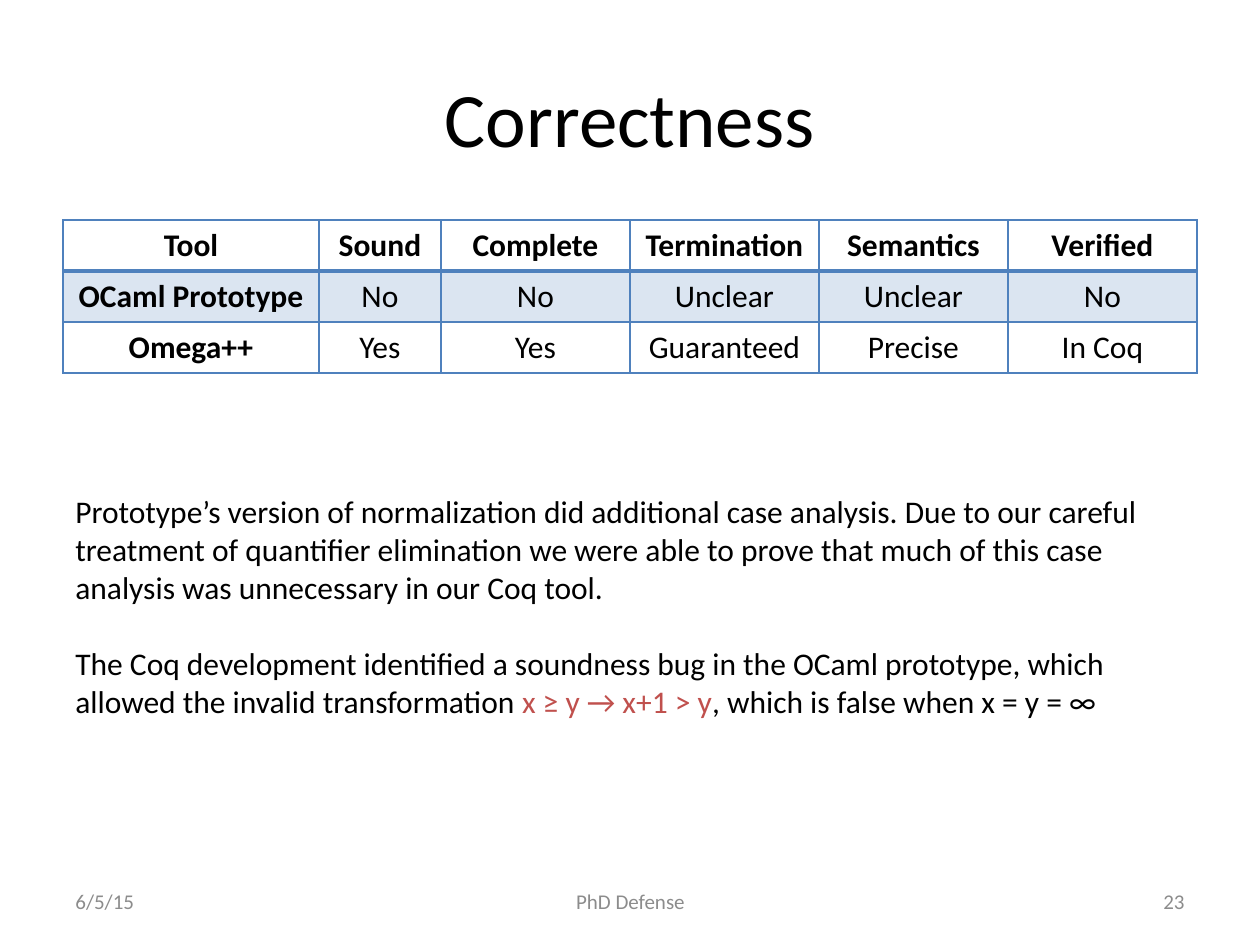
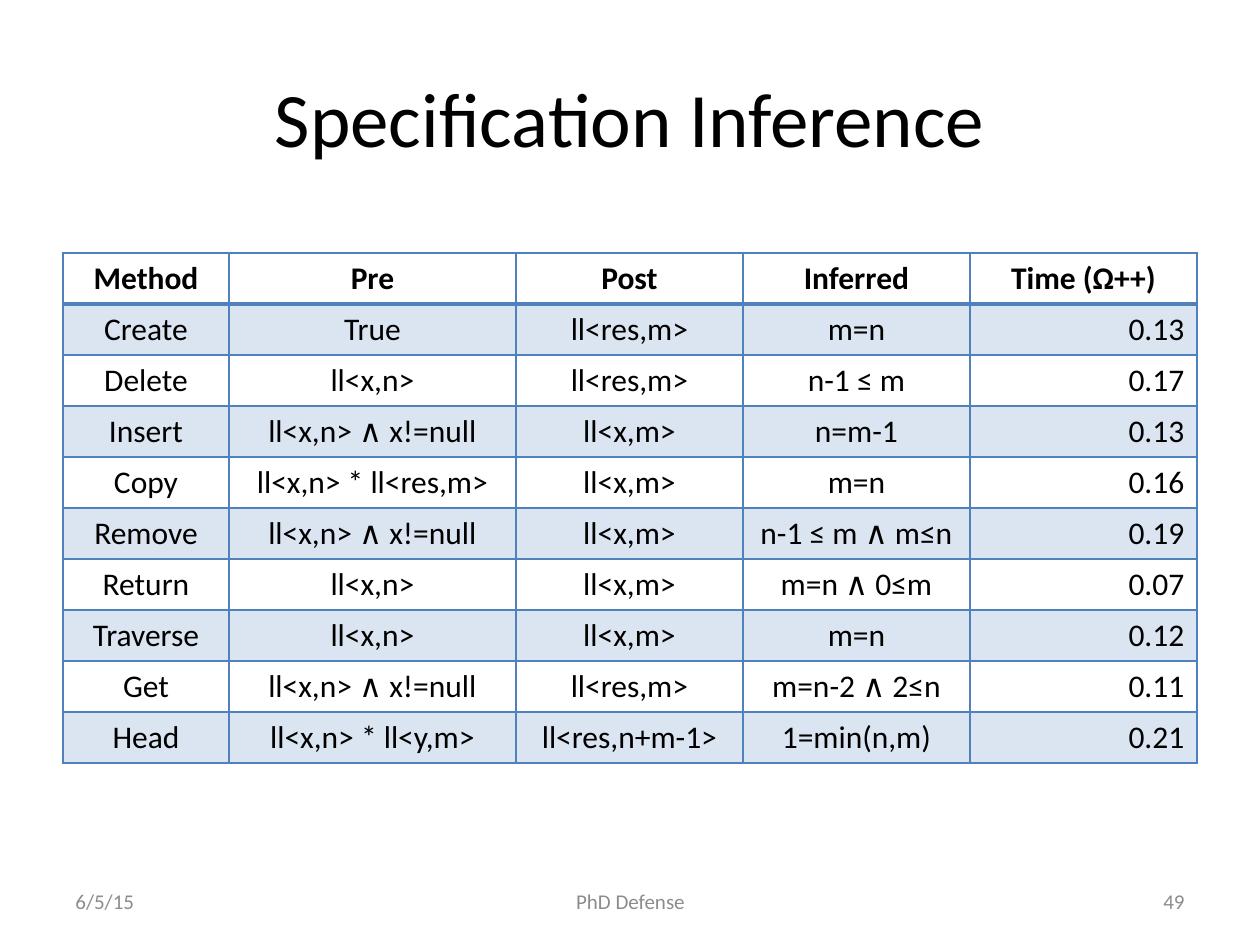
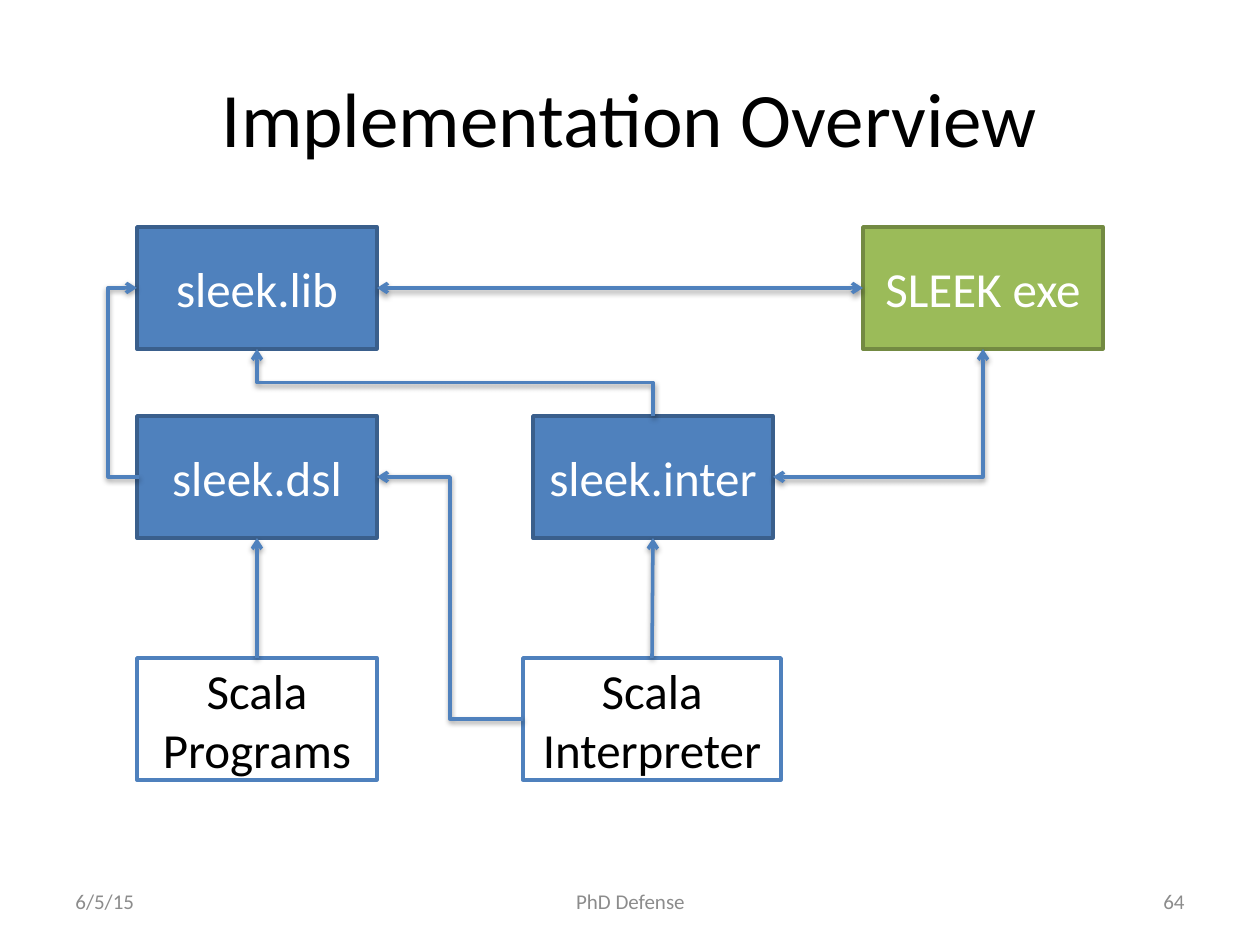
from lxml.etree import SubElement
from pptx import Presentation
from pptx.dml.color import RGBColor
from pptx.enum.shapes import MSO_CONNECTOR as CONN, MSO_SHAPE as SHAPE
from pptx.enum.text import MSO_ANCHOR as ANCHOR, PP_ALIGN as ALIGN
from pptx.oxml.ns import qn
from pptx.util import Emu, Pt

PX = 914400 / 126
FONT = "Calibri"
BLACK, WHITE, GRAY = "000000", "FFFFFF", "8C8C8C"
BLUE, DARK_BLUE = "4F81BD", "3A5F8C"
GREEN, DARK_GREEN = "9BBB59", "738A42"
RED = "C0504D"
ROW_H = 51

CORRECTNESS = [
    ["Tool", "Sound", "Complete", "Termination", "Semantics", "Verified"],
    ["OCaml Prototype", "No", "No", "Unclear", "Unclear", "No"],
    ["Omega++", "Yes", "Yes", "Guaranteed", "Precise", "In Coq"],
]
INFERENCE = [
    ["Method", "Pre", "Post", "Inferred", "Time (Ω++)"],
    ["Create", "True", "ll<res,m>", "m=n", "0.13"],
    ["Delete", "ll<x,n>", "ll<res,m>", "n-1 ≤ m", "0.17"],
    ["Insert", "ll<x,n> ∧ x!=null", "ll<x,m>", "n=m-1", "0.13"],
    ["Copy", "ll<x,n> * ll<res,m>", "ll<x,m>", "m=n", "0.16"],
    ["Remove", "ll<x,n> ∧ x!=null", "ll<x,m>", "n-1 ≤ m ∧ m≤n", "0.19"],
    ["Return", "ll<x,n>", "ll<x,m>", "m=n ∧ 0≤m", "0.07"],
    ["Traverse", "ll<x,n>", "ll<x,m>", "m=n", "0.12"],
    ["Get", "ll<x,n> ∧ x!=null", "ll<res,m>", "m=n-2 ∧ 2≤n", "0.11"],
    ["Head", "ll<x,n> * ll<y,m>", "ll<res,n+m-1>", "1=min(n,m)", "0.21"],
]


def px(*values):
    return [Emu(round(v * PX)) for v in values]


def rgb(color):
    return RGBColor.from_string(color)


def add_run(p, text, size, color=BLACK, bold=False):
    r = p.add_run()
    r.text = text
    r.font.color.rgb = rgb(color)
    for name, value in {"name": FONT, "size": Pt(size), "bold": bold}.items():
        setattr(r.font, name, value)


def add_text(slide, rect, text, size, color=BLACK, align=ALIGN.LEFT):
    tf = slide.shapes.add_textbox(*px(*rect)).text_frame
    tf.word_wrap = True
    tf.vertical_anchor = ANCHOR.MIDDLE
    p = tf.paragraphs[0]
    p.alignment = align
    add_run(p, text, size, color)


def add_slide(prs, title, number):
    """Add a blank slide with the shared title and footer."""
    slide = prs.slides.add_slide(prs.slide_layouts[6])
    add_text(slide, (63, 38, 1134, 157), title, 44, align=ALIGN.CENTER)
    footers = [
        (63, 294, "6/5/15", ALIGN.LEFT),
        (431, 399, "PhD Defense", ALIGN.CENTER),
        (903, 294, number, ALIGN.RIGHT),
    ]
    for x, w, text, align in footers:
        add_text(slide, (x, 876, w, 50), text, 12, GRAY, align)
    return slide


def add_body(slide, rect, paragraphs):
    """Each paragraph is (space before in points, [(text, color), ...])."""
    tf = slide.shapes.add_textbox(*px(*rect)).text_frame
    tf.word_wrap = True
    for i, (space, runs) in enumerate(paragraphs):
        p = tf.add_paragraph() if i else tf.paragraphs[0]
        if space:
            p.space_before = Pt(space)
        for text, color in runs:
            add_run(p, text, 18, color)


def set_border(cell, side, width):
    ln = SubElement(cell._tc.get_or_add_tcPr(), qn(f"a:ln{side}"), w=str(Pt(width)))
    SubElement(SubElement(ln, qn("a:solidFill")), qn("a:srgbClr"), val=BLUE)


def fill_band(cell, banded):
    if not banded:
        cell.fill.background()
        return
    cell.fill.solid()
    cell.fill.fore_color.rgb = rgb(BLUE)
    color = next(cell._tc.tcPr.find(qn("a:solidFill")).iter(qn("a:srgbClr")))
    SubElement(color, qn("a:alpha"), val="20000")


def add_grid(slide, top, widths, rows, bold_first=False, right_last=False):
    """Add a table with a bold header row and every second row tinted."""
    rect = px(63, top, sum(widths), ROW_H * len(rows))
    table = slide.shapes.add_table(len(rows), len(widths), *rect).table
    table.horz_banding = False
    for column, width in zip(table.columns, px(*widths)):
        column.width = width
    for i, row in enumerate(rows):
        table.rows[i].height = px(ROW_H)[0]
        for j, text in enumerate(row):
            cell = table.cell(i, j)
            cell.vertical_anchor = ANCHOR.MIDDLE
            p = cell.text_frame.paragraphs[0]
            number = right_last and i and j == len(row) - 1
            p.alignment = ALIGN.RIGHT if number else ALIGN.CENTER
            add_run(p, text, 18, bold=i == 0 or (bold_first and j == 0))
            borders = {"L": 1, "R": 1, "T": 2 if i == 1 else 1, "B": 2 if i == 0 else 1}
            for side, width in borders.items():
                set_border(cell, side, width)
            fill_band(cell, i % 2 == 1)


def add_box(slide, rect, text, fill, line, color):
    s = slide.shapes.add_shape(SHAPE.RECTANGLE, *px(*rect))
    s.shadow.inherit = False
    s.fill.solid()
    s.fill.fore_color.rgb = rgb(fill)
    s.line.color.rgb = rgb(line)
    s.line.width = Pt(2)
    tf = s.text_frame
    tf.word_wrap = True
    tf.vertical_anchor = ANCHOR.MIDDLE
    p = tf.paragraphs[0]
    p.alignment = ALIGN.CENTER
    add_run(p, text, 28, color)


def side_point(rect, side):
    x, y, w, h = rect
    return {
        "left": (x, y + h / 2),
        "right": (x + w, y + h / 2),
        "top": (x + w / 2, y),
        "bottom": (x + w / 2, y + h),
    }[side]


def add_arrow(slide, start, end, kind=CONN.STRAIGHT, both=False):
    """Add a blue connector with a soft shadow and an arrowhead at its end."""
    c = slide.shapes.add_connector(kind, *px(*start, *end))
    c.line.color.rgb = rgb(BLUE)
    c.line.width = Pt(2)
    ln = c.line._get_or_add_ln()
    for tag in ["headEnd", "tailEnd"] if both else ["tailEnd"]:
        SubElement(ln, qn(f"a:{tag}"), type="arrow")
    effects = SubElement(c._element.spPr, qn("a:effectLst"))
    shadow = SubElement(effects, qn("a:outerShdw"), blurRad="40000", dist="20000",
                        dir="5400000", rotWithShape="0")
    SubElement(SubElement(shadow, qn("a:srgbClr"), val=BLACK), qn("a:alpha"), val="38000")
    return c


def add_corner(slide, start, end):
    """Two-headed connector with one bend: across, then up or down."""
    c = add_arrow(slide, start, end, CONN.ELBOW, both=True)
    c._element.spPr.find(qn("a:prstGeom")).set("prst", "bentConnector2")


def add_detour(slide, start, end, via_x):
    """Elbow whose upright part stands at via_x, outside its two ends."""
    c = add_arrow(slide, start, end, CONN.ELBOW)
    geom = c._element.spPr.find(qn("a:prstGeom"))
    adjust = geom.find(qn("a:avLst"))
    if adjust is None:
        adjust = SubElement(geom, qn("a:avLst"))
    share = round(100000 * (start[0] - via_x) / (start[0] - end[0]))
    SubElement(adjust, qn("a:gd"), name="adj1", fmla=f"val {share}")


def add_upright_elbow(slide, start, end):
    """Elbow that leaves and arrives vertically: a level one turned by 270 degrees."""
    cx, cy = (start[0] + end[0]) / 2, (start[1] + end[1]) / 2
    turned = [(cx - (y - cy), cy + (x - cx)) for x, y in (start, end)]
    c = add_arrow(slide, *turned, CONN.ELBOW)
    c._element.spPr.find(qn("a:xfrm")).set("rot", str(270 * 60000))


def build_correctness(prs):
    slide = add_slide(prs, "Correctness", "23")
    add_grid(slide, 220, [256, 122] + [189] * 4, CORRECTNESS, bold_first=True)
    add_body(slide, (63, 486, 1134, 242), [
        (0, [("Prototype’s version of normalization did additional case analysis. "
              "Due to our careful", BLACK)]),
        (0, [("treatment of quantifier elimination we were able to prove that much of "
              "this case analysis was unnecessary in our Coq tool.", BLACK)]),
        (22, [("The Coq development identified a soundness bug in the OCaml prototype, "
               "which allowed the invalid transformation ", BLACK),
              ("x ≥ y → x+1 > y", RED),
              (", which is false when x = y = ∞", BLACK)]),
    ])


def build_inference(prs):
    slide = add_slide(prs, "Specification Inference", "49")
    add_grid(slide, 253, [166, 287] + [227] * 3, INFERENCE, right_last=True)


def build_overview(prs):
    slide = add_slide(prs, "Implementation Overview", "64")
    w, h = 240, 122
    left, middle, right = 137, 533, 863
    top, center, bottom = 227, 416, 658
    exe = (right, top, w, h)
    lib = (left, top, w, h)
    dsl = (left, center, w, h)
    inter = (middle, center, w, h)
    programs = (left, bottom, w, h)
    interpreter = (middle - 10, bottom, 258, h)

    module = (BLUE, DARK_BLUE, WHITE)
    client = (WHITE, BLUE, BLACK)
    for rect, text, style in [
        (exe, "SLEEK exe", (GREEN, DARK_GREEN, WHITE)),
        (lib, "sleek.lib", module),
        (dsl, "sleek.dsl", module),
        (inter, "sleek.inter", module),
        (programs, "Scala Programs", client),
        (interpreter, "Scala Interpreter", client),
    ]:
        add_box(slide, rect, text, *style)

    add_arrow(slide, side_point(lib, "right"), side_point(exe, "left"), both=True)
    add_corner(slide, side_point(inter, "right"), side_point(exe, "bottom"))
    x, y = side_point(dsl, "left")
    add_detour(slide, (x + 2, y), side_point(lib, "left"), 108)
    add_upright_elbow(slide, side_point(inter, "top"), side_point(lib, "bottom"))
    add_arrow(slide, side_point(programs, "top"), side_point(dsl, "bottom"))
    add_arrow(slide, side_point(interpreter, "top"), side_point(inter, "bottom"))
    add_arrow(slide, side_point(interpreter, "left"), side_point(dsl, "right"), CONN.ELBOW)


def main():
    prs = Presentation()
    prs.slide_width, prs.slide_height = px(1260, 945)
    build_correctness(prs)
    build_inference(prs)
    build_overview(prs)
    prs.save("out.pptx")


if __name__ == "__main__":
    main()
